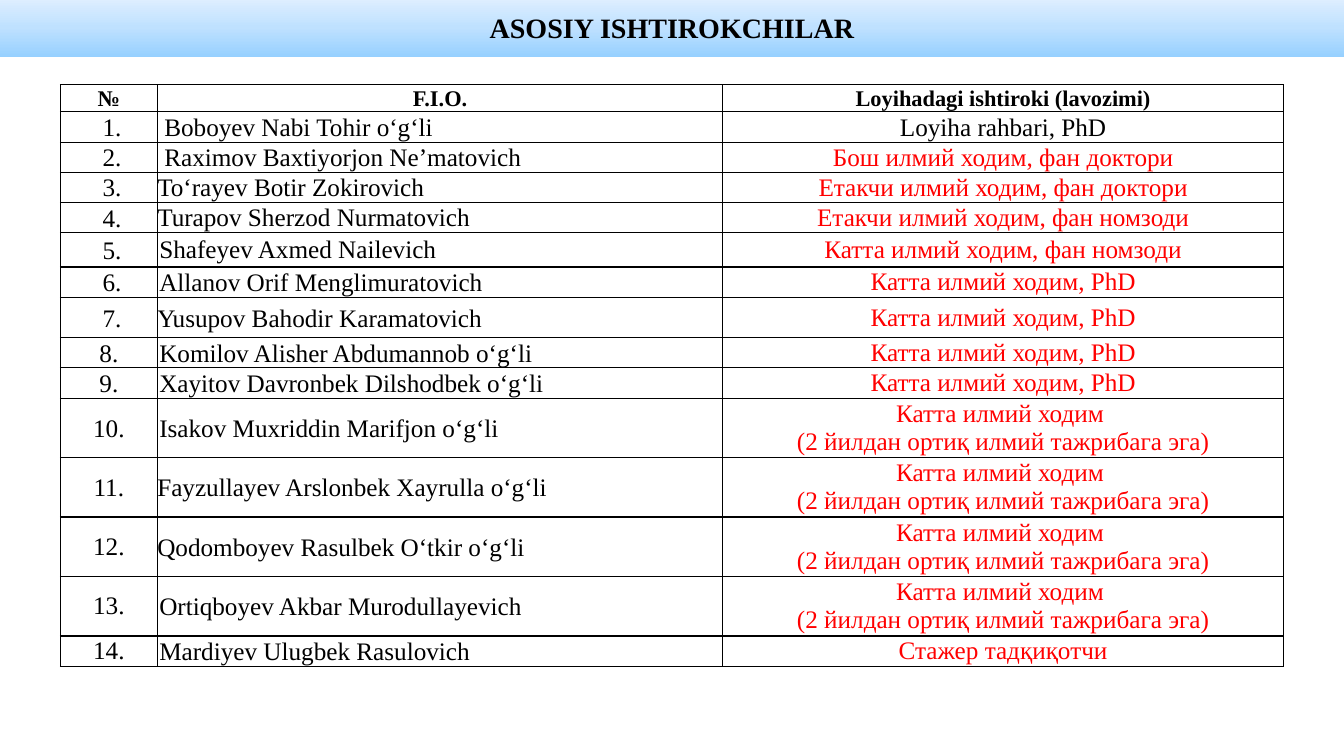
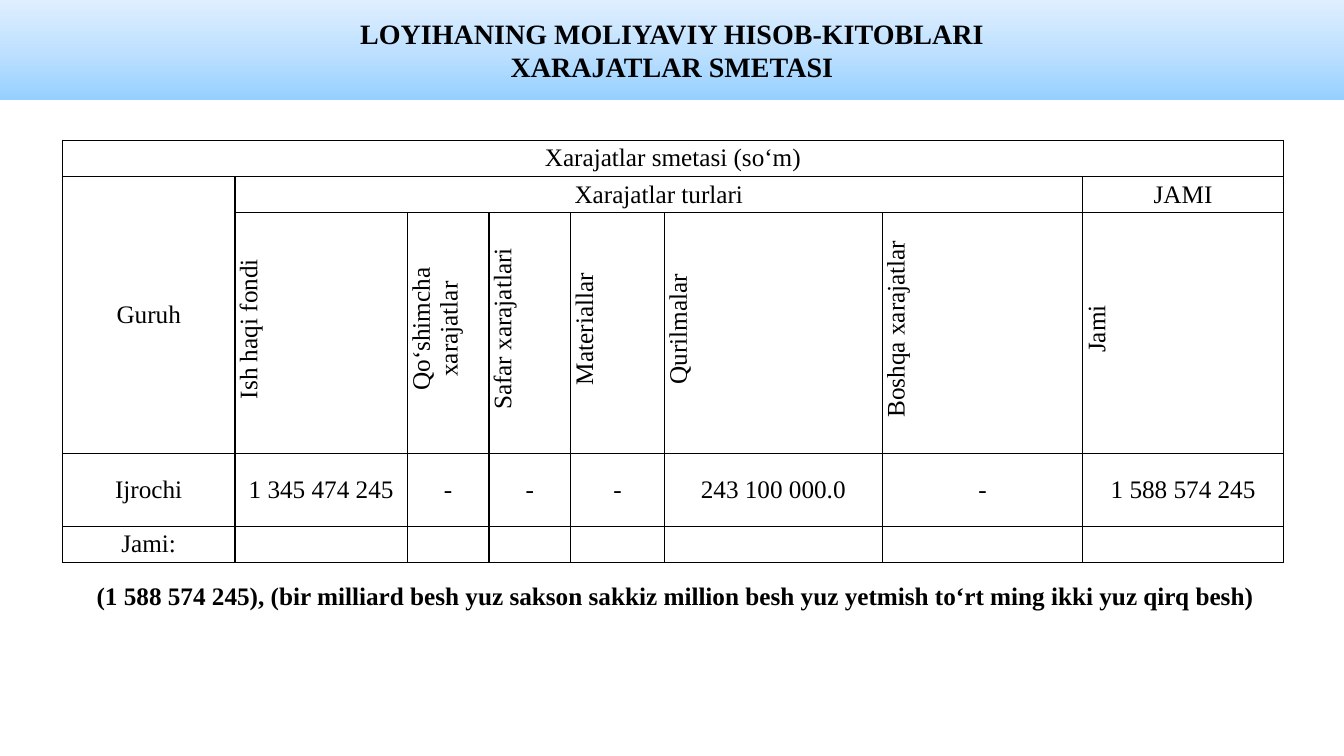
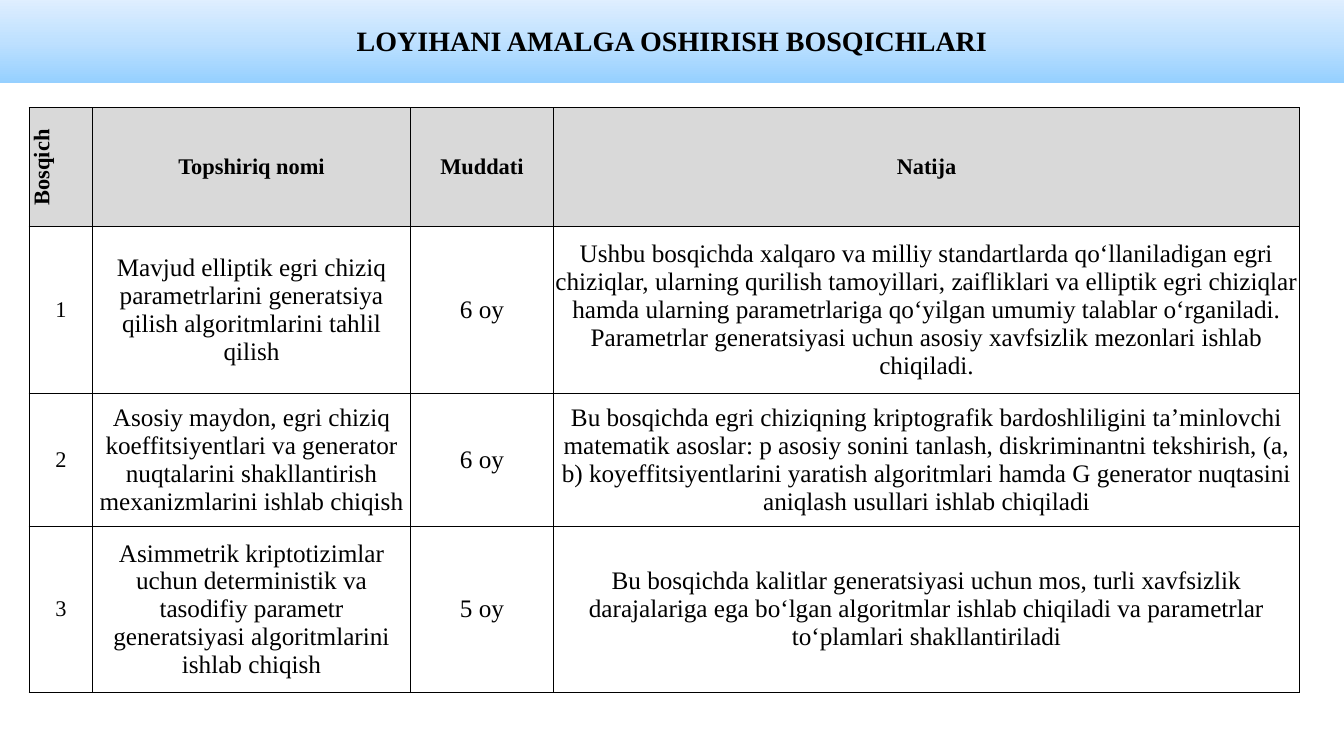
from dataclasses import dataclass, replace

import lxml.etree
import pptx
import pptx.dml.color
import pptx.enum.text
import pptx.oxml
import pptx.oxml.ns
import pptx.presentation
import pptx.slide
import pptx.table
import pptx.util

Inches = pptx.util.Inches
Align = pptx.enum.text.PP_ALIGN
Anchor = pptx.enum.text.MSO_ANCHOR
Fit = pptx.enum.text.MSO_AUTO_SIZE

FONT = "Times New Roman"
BLACK, RED, GREY = "000000", "FF0000", "D9D9D9"
BAND = ((0, "96D0FF"), (50, "BFE1FF"), (100, "E0EFFF"))
WIDTH = 13.33


@dataclass(frozen=True)
class Style:
    size: int = 18
    bold: bool = False
    color: str = BLACK
    align: Align = Align.CENTER
    pad: float = 0.07
    space: float = 1.0
    upright: bool = False
    indent: float = 0
    fill: str = ""


@dataclass(frozen=True)
class Member:
    num: str
    name: str
    role: str
    pad: float = 0.02
    height: float = 0.3


BASE = Style()
TITLE = Style(size=20, bold=True)
HEAD = Style(size=16, bold=True, space=1.07)

SENIOR = "Катта илмий ходим, PhD"
SKILLED = "Катта илмий ходим \n(2 йилдан ортиқ илмий тажрибага эга)"
MEMBERS = [
    Member(" 1.", "Boboyev Nabi Tohir o‘g‘li", "Loyiha rahbari, PhD", 0.07),
    Member(" 2.", "Raximov Baxtiyorjon Ne’matovich", "Бош илмий ходим, фан доктори", 0.07),
    Member(" 3.", "To‘rayev Botir Zokirovich", "Етакчи илмий ходим, фан доктори", 0),
    Member(" 4.", "Turapov Sherzod Nurmatovich", "Етакчи илмий ходим, фан номзоди", 0),
    Member(" 5.", "Shafeyev Axmed Nailevich", "Катта илмий ходим, фан номзоди", height=0.34),
    Member(" 6.", "Allanov Orif Menglimuratovich", SENIOR),
    Member(" 7.", "Yusupov Bahodir Karamatovich", SENIOR, 0, 0.4),
    Member("8.", "Komilov Alisher Abdumannob o‘g‘li", SENIOR),
    Member("9.", "Xayitov Davronbek Dilshodbek o‘g‘li", SENIOR),
    Member("10.", "Isakov Muxriddin Marifjon o‘g‘li", SKILLED, height=0.59),
    Member("11.", "Fayzullayev Arslonbek Xayrulla o‘g‘li", SKILLED, 0, 0.59),
    Member("12.", "Qodomboyev Rasulbek O‘tkir o‘g‘li", SKILLED, 0, 0.59),
    Member("13.", "Ortiqboyev Akbar Murodullayevich", SKILLED, height=0.59),
    Member("14.", "Mardiyev Ulugbek Rasulovich", "Стажер тадқиқотчи"),
]

COSTS = ["Ish haqi fondi", "Qo‘shimcha xarajatlar", "Safar xarajatlari", "Materiallar",
         "Qurilmalar", "Boshqa xarajatlar", "Jami"]
SUMS = ["Ijrochi", "1 345 474 245", "-", "-", "-", "243 100 000.0", "-", "1 588 574 245"]
TOTAL = ("(1 588 574 245), (bir milliard besh yuz sakson sakkiz million besh yuz "
         "yetmish to‘rt ming ikki yuz qirq besh)")

STAGES = [
    ("1", "Mavjud elliptik egri chiziq parametrlarini generatsiya qilish algoritmlarini "
     "tahlil qilish", "6 oy",
     "Ushbu bosqichda xalqaro va milliy standartlarda qo‘llaniladigan egri chiziqlar, "
     "ularning qurilish tamoyillari, zaifliklari va elliptik egri chiziqlar hamda ularning "
     "parametrlariga qo‘yilgan umumiy talablar o‘rganiladi. Parametrlar generatsiyasi uchun "
     "asosiy xavfsizlik mezonlari ishlab chiqiladi."),
    ("2", "Asosiy maydon, egri chiziq koeffitsiyentlari va generator nuqtalarini "
     "shakllantirish mexanizmlarini ishlab chiqish", "6 oy",
     "Bu bosqichda egri chiziqning kriptografik bardoshliligini ta’minlovchi matematik "
     "asoslar: p asosiy sonini tanlash, diskriminantni tekshirish, (a, b) "
     "koyeffitsiyentlarini yaratish algoritmlari hamda G generator nuqtasini aniqlash "
     "usullari ishlab chiqiladi"),
    ("3", "Asimmetrik kriptotizimlar uchun deterministik va tasodifiy parametr "
     "generatsiyasi algoritmlarini ishlab chiqish", "5 oy",
     "Bu bosqichda kalitlar generatsiyasi uchun mos, turli xavfsizlik darajalariga ega "
     "bo‘lgan algoritmlar ishlab chiqiladi va parametrlar to‘plamlari shakllantiriladi"),
]


def paint(target, color: str) -> None:
    """Set a font's or solid fill's colour from a hex string."""
    tone = target.color if hasattr(target, "color") else target.fore_color
    tone.rgb = pptx.dml.color.RGBColor.from_string(color)


def style_text(frame, style: Style) -> None:
    for para in frame.paragraphs:
        para.alignment = style.align
        para.line_spacing = style.space
        if style.indent:
            para._p.get_or_add_pPr().set("marL", str(Inches(style.indent)))
        para.font.name = FONT
        para.font.size = pptx.util.Pt(style.size)
        para.font.bold = style.bold
        paint(para.font, style.color)


def add_edges(cell: pptx.table._Cell) -> None:
    props = cell._tc.get_or_add_tcPr()
    for side in ("lnL", "lnR", "lnT", "lnB"):
        props.append(pptx.oxml.parse_xml(
            f'<a:{side} {pptx.oxml.ns.nsdecls("a")} w="12700"><a:solidFill>'
            f'<a:srgbClr val="{BLACK}"/></a:solidFill></a:{side}>'))


def fill_cell(cell: pptx.table._Cell, text: str, style: Style) -> None:
    cell.text_frame.text = text
    style_text(cell.text_frame, style)
    cell.vertical_anchor = Anchor.MIDDLE
    cell.margin_left = cell.margin_right = Inches(style.pad)
    cell.margin_top = cell.margin_bottom = 0
    if style.upright:
        cell._tc.get_or_add_tcPr().set("vert", "vert270")
    if style.fill:
        cell.fill.solid()
        paint(cell.fill, style.fill)


def add_grid(slide: pptx.slide.Slide, left: float, top: float, cols: list[float],
             rows: list[float]) -> pptx.table.Table:
    """Add an unfilled table with black edges and the given column and row sizes."""
    grid = slide.shapes.add_table(len(rows), len(cols), Inches(left), Inches(top),
                                  Inches(sum(cols)), Inches(sum(rows))).table
    grid.first_row = grid.horz_banding = False
    for col, width in zip(grid.columns, cols):
        col.width = Inches(width)
    for row, height in zip(grid.rows, rows):
        row.height = Inches(height)
    for cell in grid.iter_cells():
        add_edges(cell)
        cell.fill.background()
        fill_cell(cell, "", BASE)
    return grid


def add_page(deck: pptx.presentation.Presentation, text: str, top: float,
             height: float) -> pptx.slide.Slide:
    """Add a slide whose title is a full-width gradient band."""
    slide = deck.slides.add_slide(deck.slide_layouts[5])
    title = slide.shapes.title
    title.left, title.top = 0, Inches(top)
    title.width, title.height = Inches(WIDTH), Inches(height)
    stops = "".join(f'<a:gs pos="{pos * 1000}"><a:srgbClr val="{color}"/></a:gs>'
                    for pos, color in BAND)
    title._element.spPr.append(pptx.oxml.parse_xml(
        f'<a:gradFill {pptx.oxml.ns.nsdecls("a")} rotWithShape="1"><a:gsLst>{stops}</a:gsLst>'
        '<a:lin ang="16200000" scaled="0"/></a:gradFill>'))
    frame = title.text_frame
    frame.auto_size = Fit.NONE
    frame.word_wrap = True
    frame.vertical_anchor = Anchor.MIDDLE
    frame.paragraphs[0].text = text
    style_text(frame, TITLE)
    return slide


def add_team(deck: pptx.presentation.Presentation) -> None:
    slide = add_page(deck, "ASOSIY ISHTIROKCHILAR", -0.03, 0.6)
    grid = add_grid(slide, 0.6, 0.84, [0.96, 5.61, 5.56],
                    [0.27] + [member.height for member in MEMBERS])
    for col, text in enumerate(("№", "F.I.O.", "Loyihadagi ishtiroki (lavozimi)")):
        fill_cell(grid.cell(0, col), text, HEAD)
    for row, member in enumerate(MEMBERS, 1):
        fill_cell(grid.cell(row, 0), member.num,
                  replace(BASE, space=1.07 if row < 12 else 1.0))
        fill_cell(grid.cell(row, 1), member.name,
                  Style(align=Align.LEFT, pad=member.pad,
                        space=1.0 if row in (4, 5) else 1.07))
        fill_cell(grid.cell(row, 2), member.role,
                  Style(color=BLACK if row == 1 else RED,
                        pad=0.07 if row < 3 else 0.02,
                        space=1.07 if row < 3 else 1.0))


def add_budget(deck: pptx.presentation.Presentation) -> None:
    slide = add_page(deck, "LOYIHANING MOLIYAVIY HISOB-KITOBLARI\nXARAJATLAR SMETASI", 0, 0.99)
    grid = add_grid(slide, 0.62, 1.39, [1.71, 1.71, 0.81, 0.81, 0.93, 2.16, 1.99, 1.99],
                    [0.36, 0.36, 2.39, 0.72, 0.36])
    for first, last in (((0, 0), (0, 7)), ((1, 0), (2, 0)), ((1, 1), (1, 6))):
        grid.cell(*first).merge(grid.cell(*last))
    labels = {(0, 0): "Xarajatlar smetasi (so‘m)", (1, 0): "Guruh",
              (1, 1): "Xarajatlar turlari", (1, 7): "JAMI", (4, 0): "Jami:"}
    for spot, text in labels.items():
        fill_cell(grid.cell(*spot), text, BASE)
    for col, text in enumerate(COSTS, 1):
        fill_cell(grid.cell(2, col), text, Style(upright=True, indent=0.08))
    for col, text in enumerate(SUMS):
        fill_cell(grid.cell(3, col), text, BASE)

    note = slide.shapes.add_textbox(Inches(0.86), Inches(5.71), Inches(11.87), Inches(0.4))
    note.text_frame.word_wrap = True
    note.text_frame.auto_size = Fit.SHAPE_TO_FIT_TEXT
    note.text_frame.text = TOTAL
    style_text(note.text_frame, Style(bold=True, align=Align.LEFT))


def add_plan(deck: pptx.presentation.Presentation) -> None:
    slide = add_page(deck, "LOYIHANI AMALGA OSHIRISH BOSQICHLARI", -0.02, 0.84)
    grid = add_grid(slide, 0.29, 1.07, [0.63, 3.15, 1.42, 7.4], [1.18, 1.65, 1.32, 1.65])
    head = Style(size=16, bold=True, pad=0, fill=GREY)
    for col, text in enumerate(("Bosqich", "Topshiriq nomi", "Muddati", "Natija")):
        fill_cell(grid.cell(0, col), text, replace(head, upright=col == 0))
    for row, stage in enumerate(STAGES, 1):
        for col, text in enumerate(stage):
            fill_cell(grid.cell(row, col), text, Style(size=18 if col else 16, pad=0))


def main() -> None:
    deck = pptx.Presentation()
    deck.slide_width, deck.slide_height = Inches(WIDTH), Inches(7.5)
    add_team(deck)
    add_budget(deck)
    add_plan(deck)
    deck.save("out.pptx")


if __name__ == "__main__":
    main()
